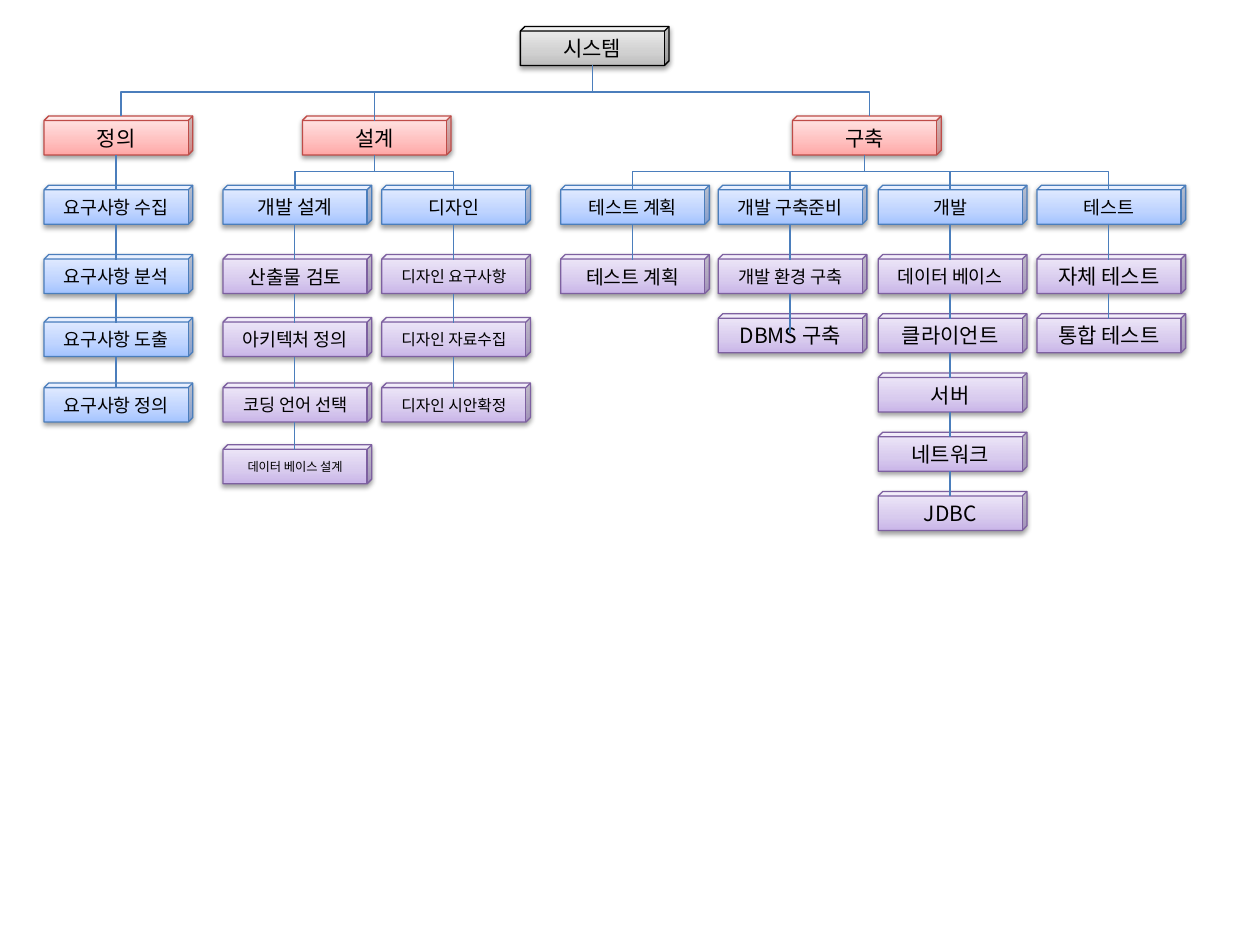
"""Build a one-slide system development hierarchy chart."""
from pptx import Presentation
from pptx.dml.color import RGBColor
from pptx.enum.shapes import MSO_CONNECTOR, MSO_SHAPE
from pptx.enum.text import MSO_ANCHOR, PP_ALIGN
from pptx.oxml import parse_xml
from pptx.oxml.ns import nsdecls, qn
from pptx.util import Inches, Pt

FONT = "Noto Sans CJK KR"
BLACK = RGBColor(0x00, 0x00, 0x00)
BLUE = RGBColor(0x4B, 0x7E, 0xBC)
RED = RGBColor(0xBF, 0x4C, 0x48)
PURPLE = RGBColor(0x7D, 0x60, 0xA0)

GRADIENTS = {
    BLACK: ("BDBDBD", "D1D1D1", "EEEEEE"),
    RED: ("FFA6A5", "FFC0BF", "FFE7E7"),
    BLUE: ("A4C4FF", "BFD4FF", "E6EEFF"),
    PURPLE: ("C9B5E8", "D8CBEE", "F0EAF9"),
}
STOPS = (0, 35000, 100000)

ROOT = ("시스템", 4.13)
PLANNING_ROWS = (1.47, 2.02, 2.52, 3.04, 3.53)
BUILD_ROWS = (1.47, *(2.02 + 0.47 * row for row in range(5)))
PHASES = [
    ("정의", 0.35, PLANNING_ROWS, BLUE, [
        (0.35, [("요구사항 수집", 10.5), ("요구사항 분석", 10.5),
                ("요구사항 도출", 10.5), ("요구사항 정의", 10.5)]),
    ]),
    ("설계", 2.4, PLANNING_ROWS, PURPLE, [
        (1.77, [("개발 설계", 11), ("산출물 검토", 11), ("아키텍처 정의", 10.5),
                ("코딩 언어 선택", 10), ("데이터 베이스 설계", 7)]),
        (3.03, [("디자인", 10.5), ("디자인 요구사항", 9),
                ("디자인 자료수집", 9), ("디자인 시안확정", 9)]),
    ]),
    ("구축", 6.29, BUILD_ROWS, PURPLE, [
        (4.45, [("테스트 계획", 10.5), ("테스트 계획", 11)]),
        (5.7, [("개발 구축준비", 10.5), ("개발 환경 구축", 10), ("DBMS 구축", 12)]),
        (6.97, [("개발", 10.5), ("데이터 베이스", 10.5), ("클라이언트", 12),
                ("서버", 12), ("네트워크", 12), ("JDBC", 12)]),
        (8.23, [("테스트", 10.5), ("자체 테스트", 12), ("통합 테스트", 12)]),
    ]),
]
DEEP_ENDS = {"DBMS 구축": 0.15}

ROOT_TOP, PHASE_TOP = 0.21, 0.92
BOX_WIDTH, BOX_HEIGHT = 1.18, 0.31
CUBE_DEPTH = 0.118
EDGE = 0.04
FACE_CENTER = (BOX_WIDTH - EDGE) / 2

presentation = Presentation()
presentation.slide_width = Inches(10)
presentation.slide_height = Inches(7.5)
slide = presentation.slides.add_slide(presentation.slide_layouts[6])


def add_box(text, left, top, size, color):
    shape = slide.shapes.add_shape(
        MSO_SHAPE.CUBE, Inches(left), Inches(top), Inches(BOX_WIDTH), Inches(BOX_HEIGHT))
    shape.adjustments[0] = CUBE_DEPTH
    stops = "".join(
        f'<a:gs pos="{position}"><a:srgbClr val="{value}"/></a:gs>'
        for position, value in zip(STOPS, GRADIENTS[color]))
    properties = shape._element.spPr
    properties.find(qn("a:prstGeom")).addnext(parse_xml(
        f'<a:gradFill {nsdecls("a")} rotWithShape="1"><a:gsLst>{stops}</a:gsLst>'
        '<a:lin ang="16200000" scaled="0"/></a:gradFill>'))
    shape.line.color.rgb = color
    shape.line.width = Pt(0.75)
    shape.shadow.inherit = False
    properties.find(qn("a:effectLst")).append(parse_xml(
        f'<a:outerShdw {nsdecls("a")} blurRad="{Pt(3.1)}" dist="{Pt(1.6)}" dir="5400000" '
        'rotWithShape="0"><a:srgbClr val="000000"><a:alpha val="38000"/></a:srgbClr>'
        '</a:outerShdw>'))
    frame = shape.text_frame
    frame.text = text
    frame.vertical_anchor = MSO_ANCHOR.MIDDLE
    paragraph = frame.paragraphs[0]
    paragraph.alignment = PP_ALIGN.CENTER
    font = paragraph.runs[0].font
    font.name = FONT
    font.size = Pt(size)
    font.color.rgb = BLACK
    font._element.append(parse_xml(f'<a:ea {nsdecls("a")} typeface="{FONT}"/>'))


def add_line(kind, start, end):
    connector = slide.shapes.add_connector(kind, *(Inches(value) for value in (*start, *end)))
    connector.line.color.rgb = BLUE
    connector.line.width = Pt(0.75)
    connector._element.spPr.append(parse_xml(f'<a:effectLst {nsdecls("a")}/>'))
    return connector


def add_branch(start, end, bend_y):
    (start_x, start_y), (end_x, end_y) = start, end
    middle_x, middle_y = (start_x + end_x) / 2, (start_y + end_y) / 2
    drop, reach = end_y - start_y, abs(end_x - start_x)
    side = drop / 2 if end_x > start_x else -drop / 2
    connector = add_line(
        MSO_CONNECTOR.ELBOW,
        (middle_x + side, middle_y - reach / 2), (middle_x - side, middle_y + reach / 2))
    properties = connector._element.spPr
    properties.find(qn("a:xfrm")).set("rot", "16200000" if side > 0 else "5400000")
    geometry = properties.find(qn("a:prstGeom"))
    for guides in geometry.findall(qn("a:avLst")):
        geometry.remove(guides)
    bend = round((bend_y - start_y) / drop * 100000)
    geometry.append(parse_xml(
        f'<a:avLst {nsdecls("a")}><a:gd name="adj1" fmla="val {bend}"/></a:avLst>'))


branches, links = [], []
root_end = (ROOT[1] + FACE_CENTER, ROOT_TOP + BOX_HEIGHT)
add_box(*ROOT, ROOT_TOP, 12, BLACK)
for phase, phase_left, rows, task_color, columns in PHASES:
    add_box(phase, phase_left, PHASE_TOP, 12, RED)
    phase_x, phase_end = phase_left + FACE_CENTER, PHASE_TOP + BOX_HEIGHT
    if phase == "설계":
        branches.append((root_end, (phase_x, PHASE_TOP + EDGE), 0.73))
    else:
        branches.append((root_end, (phase_x + EDGE, PHASE_TOP), 0.73))
    for left, tasks in columns:
        center = left + FACE_CENTER
        head = (center, rows[0] + EDGE)
        if len(columns) == 1:
            links.append(((phase_x, phase_end), head))
        else:
            branches.append(((phase_x, phase_end), head, 1.36))
        for index, ((text, size), top) in enumerate(zip(tasks, rows)):
            add_box(text, left, top, size, task_color if index else BLUE)
            if index:
                links.append(((center, rows[index - 1] + BOX_HEIGHT),
                              (center, top + DEEP_ENDS.get(text, EDGE))))

for branch in branches:
    add_branch(*branch)
for link in links:
    add_line(MSO_CONNECTOR.STRAIGHT, *link)

presentation.save("out.pptx")
